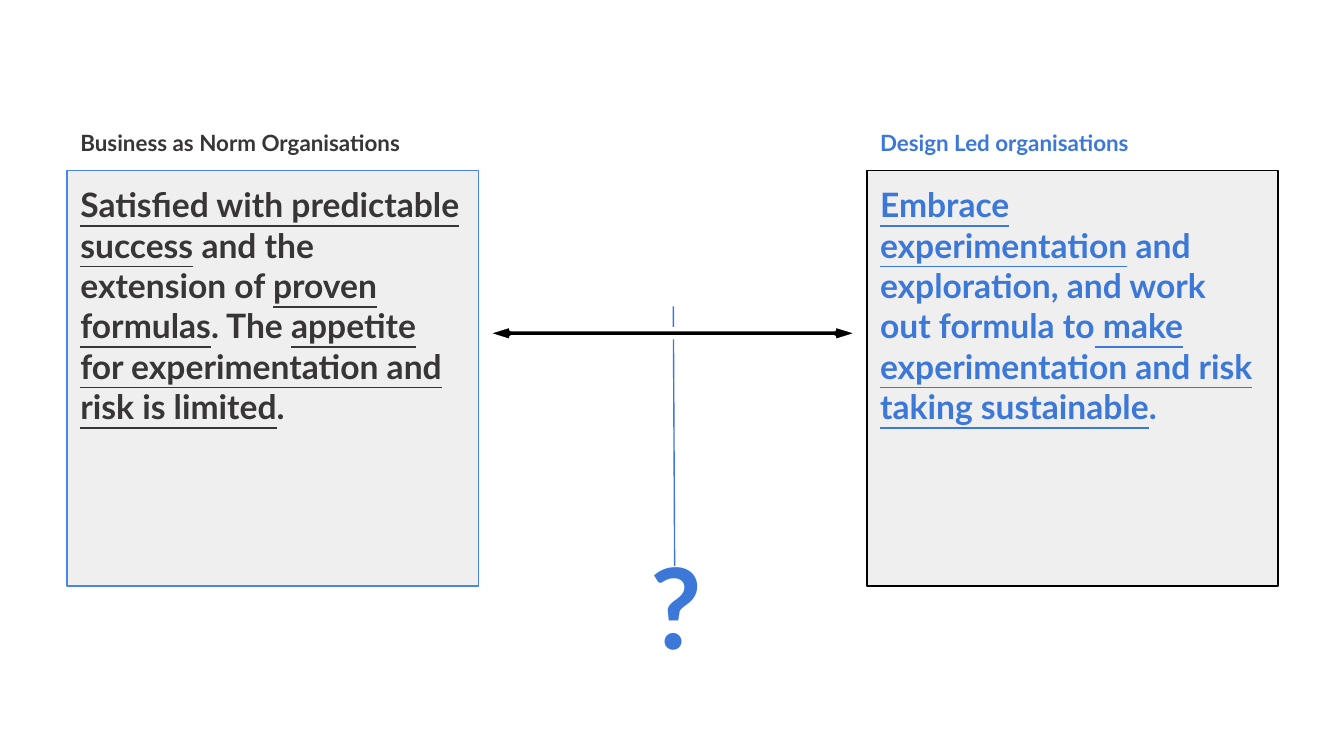
from pptx import Presentation
from pptx.dml.color import RGBColor
from pptx.enum.shapes import MSO_CONNECTOR, MSO_SHAPE
from pptx.enum.text import MSO_ANCHOR, MSO_AUTO_SIZE, PP_ALIGN
from pptx.oxml.ns import qn
from pptx.util import Inches, Pt
from lxml.etree import SubElement

WIDE = 10
HIGH = WIDE * 9 / 16
DARK, BLUE = "383536", "3C78D8"
CARD_W, CARD_H, HEAD_H = 3.06, 3.09, 0.41
CARD_Y = 1.27
LEFT, RIGHT = 0.5, 6.45

# Each column: left edge, ink, border, heading, (text, underlined) runs
COLUMNS = [
    (LEFT, DARK, "4A86E8", "Business as Norm Organisations", [
        ("Satisfied with predictable success", True),
        (" and the extension of ", False),
        ("proven formulas", True),
        (". The ", False),
        ("appetite for experimentation and risk is limited", True),
        (".", False)]),
    (RIGHT, BLUE, "000000", "Design Led organisations", [
        ("Embrace experimentation", True),
        (" and exploration, and work out formula to", False),
        (" make experimentation and risk taking sustainable", True),
        (".", False)]),
]


def color(code):
    return RGBColor.from_string(code)


def box(*sizes):
    return [Inches(size) for size in sizes]


def write(shape, runs, size, ink, align=PP_ALIGN.LEFT, anchor=MSO_ANCHOR.TOP):
    frame = shape.text_frame
    frame.word_wrap = True
    frame.auto_size = MSO_AUTO_SIZE.NONE
    frame.vertical_anchor = anchor
    frame.margin_left = frame.margin_right = Inches(0.1)
    frame.margin_top = frame.margin_bottom = Inches(0.1)
    para = frame.paragraphs[0]
    para.alignment = align
    font = para.font
    font.name, font.size, font.bold = "Lato", Pt(size), True
    font.color.rgb = color(ink)
    for text, under in runs:
        run = para.add_run()
        run.text = text
        if under:
            run.font.underline = True


def block(slide, kind, place, fill, edge, width):
    shape = slide.shapes.add_shape(kind, *box(*place))
    shape.shadow.inherit = False
    shape.fill.solid()
    shape.fill.fore_color.rgb = color(fill)
    shape.line.color.rgb = color(edge)
    shape.line.width = Pt(width)
    return shape


def column(slide, left, ink, edge, head, runs):
    """Add a heading with its bordered card below."""
    card = block(slide, MSO_SHAPE.RECTANGLE, (left, CARD_Y, CARD_W, CARD_H),
                 "EFEFEF", edge, 0.75)
    write(card, runs, 18, ink)
    label = slide.shapes.add_textbox(
        *box(left, CARD_Y - HEAD_H, CARD_W, HEAD_H))
    write(label, [(head, False)], 12, ink)


def stem(slide):
    """Add the thin line that leads down to the question mark."""
    line = slide.shapes.add_connector(
        MSO_CONNECTOR.STRAIGHT, *box(5.01, 2.28, 5.02, 4.21))
    line.line.color.rgb = color(BLUE)
    line.line.width = Pt(0.75)
    SubElement(line._element.spPr, qn("a:effectLst"))


def arrow(slide):
    shape = block(slide, MSO_SHAPE.LEFT_RIGHT_ARROW, (3.61, 2.42, 2.79, 0.12),
                  "000000", "FFFFFF", 2.25)
    shape.adjustments[0] = 0.5
    shape.adjustments[1] = 1.61


def title(slide):
    mark = slide.shapes.title
    mark.left, mark.top, mark.width, mark.height = box(4, 4.53, 2.06, 0.57)
    write(mark, [("?", False)], 60, BLUE, PP_ALIGN.CENTER, MSO_ANCHOR.BOTTOM)


def main():
    deck = Presentation()
    deck.slide_width, deck.slide_height = box(WIDE, HIGH)
    slide = deck.slides.add_slide(deck.slide_layouts[5])
    title(slide)
    stem(slide)
    for item in COLUMNS:
        column(slide, *item)
    arrow(slide)
    deck.save("out.pptx")


if __name__ == "__main__":
    main()
